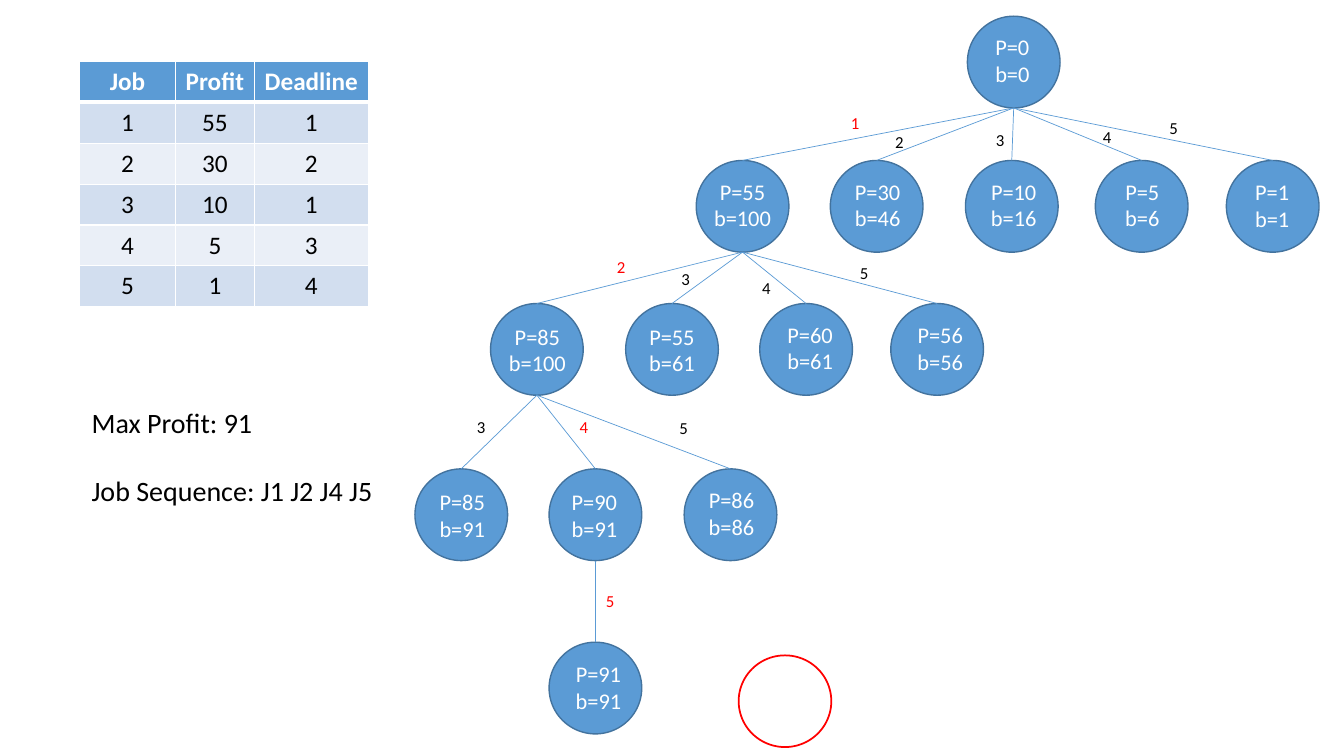
from dataclasses import dataclass

from pptx import Presentation
from pptx.dml.color import RGBColor as Color
from pptx.enum.shapes import MSO_CONNECTOR as Connector, MSO_SHAPE as Shape
from pptx.enum.text import MSO_ANCHOR as Anchor, MSO_AUTO_SIZE as AutoSize, PP_ALIGN as Align
from pptx.oxml import parse_xml
from pptx.oxml.ns import nsdecls
from pptx.util import Pt


@dataclass(frozen=True)
class Theme:
    font: str = "Calibri"
    blue: str = "5B9BD5"
    outline: str = "43739E"
    dark_band: str = "D2DEEF"
    light_band: str = "EAEFF7"
    red: str = "FF0000"
    black: str = "000000"
    white: str = "FFFFFF"
    result_size: int = 20
    table_size: int = 18
    node_size: int = 16
    edge_size: int = 12


@dataclass(frozen=True)
class Box:
    left: float
    top: float
    width: float
    height: float

    def inner(self, left, top, width, height):
        return Box(self.left + left, self.top + top, width, height)

    def lengths(self):
        return [Pt(value) for value in (self.left, self.top, self.width, self.height)]


@dataclass(frozen=True)
class Node:
    level: int
    left: float
    text: str
    shift: tuple
    parent: int = -1
    job: str = ""
    job_at: tuple = ()
    chosen: bool = False


THEME = Theme()
NODE_WIDTH, NODE_HEIGHT = 66.2, 65.5
LEVEL_TOPS = (0, 103, 205.2, 323.3, 447.1)
NODES = (
    Node(0, 394.6, "P=0\vb=0", (-1, -1)),
    Node(1, 200.9, "P=55\vb=100", (0, -1), 0, "1", (303.9, 65.5), True),
    Node(1, 296.7, "P=30\vb=46", (0.7, -1), 0, "2", (335.6, 79.2)),
    Node(1, 393.2, "P=10\vb=16", (1.4, -1), 0, "3", (407.6, 77.8)),
    Node(1, 486, "P=5\vb=6", (0.4, -1), 0, "4", (483.9, 75.6)),
    Node(1, 579.6, "P=1\vb=1", (-0.4, -0.4), 0, "5", (531.4, 69.1)),
    Node(2, 54, "P=85\vb=100", (0.4, 0.4), 1, "2", (136.8, 168.5), True),
    Node(2, 150.5, "P=55\vb=61", (0, 0.4), 1, "3", (182.9, 177.1)),
    Node(2, 246.3, "P=60\vb=61", (2.9, -1), 1, "4", (240.5, 182.9)),
    Node(2, 339.9, "P=56\vb=56", (2.2, -0.4), 1, "5", (310.4, 172.8)),
    Node(3, 0, "P=85\vb=91", (0.7, 0.4), 6, "3", (36.8, 282.3)),
    Node(3, 95.8, "P=90\vb=91", (-0.7, 0.4), 6, "4", (110.2, 282.3), True),
    Node(3, 192.3, "P=86\vb=86", (0.7, -1), 6, "5", (181.5, 283)),
    Node(4, 95.8, "P=91\vb=91", (2.2, -0.4), 11, "5", (128.9, 406.8), True),
)
JOBS = (
    ("Job", "Profit", "Deadline"),
    ("1", "55", "1"),
    ("2", "30", "2"),
    ("3", "10", "1"),
    ("4", "5", "3"),
    ("5", "1", "4"),
)
COLUMN_WIDTHS = (68.4, 56.4, 81.4)


def set_values(target, values):
    for name, value in values.items():
        setattr(target, name, value)


def style_paragraph(paragraph, size, color, alignment=Align.CENTER, bold=False):
    paragraph.alignment = alignment
    set_values(paragraph.font, {"name": THEME.font, "size": Pt(size), "bold": bold})
    paragraph.font.color.rgb = Color.from_string(color)


def add_label(slide, box, text, size, color):
    frame = slide.shapes.add_textbox(*box.lengths()).text_frame
    set_values(frame, {"word_wrap": False, "auto_size": AutoSize.SHAPE_TO_FIT_TEXT})
    paragraph = frame.paragraphs[0]
    paragraph.text = text
    style_paragraph(paragraph, size, color)


def add_circle(slide, box, line_color, line_width, fill=None):
    circle = slide.shapes.add_shape(Shape.OVAL, *box.lengths())
    circle.shadow.inherit = False
    if fill:
        circle.fill.solid()
        circle.fill.fore_color.rgb = Color.from_string(fill)
    else:
        circle.fill.background()
    circle.line.color.rgb = Color.from_string(line_color)
    circle.line.width = Pt(line_width)


def add_edge(slide, parent, child):
    points = (
        parent.left + NODE_WIDTH / 2, parent.top + NODE_HEIGHT,
        child.left + NODE_WIDTH / 2, child.top,
    )
    edge = slide.shapes.add_connector(Connector.STRAIGHT, *[Pt(value) for value in points])
    edge.line.color.rgb = Color.from_string(THEME.blue)
    edge.line.width = Pt(0.5)
    edge._element.spPr.append(parse_xml(f"<a:effectLst {nsdecls('a')}/>"))


def add_borders(cell, bottom_width):
    properties = cell._tc.get_or_add_tcPr()
    for side, width in (("L", 1), ("R", 1), ("T", 1), ("B", bottom_width)):
        properties.append(parse_xml(
            f'<a:ln{side} {nsdecls("a")} w="{Pt(width)}"><a:solidFill>'
            f'<a:srgbClr val="{THEME.white}"/></a:solidFill></a:ln{side}>'
        ))


def add_job_table(slide, box):
    table = slide.shapes.add_table(len(JOBS), len(COLUMN_WIDTHS), *box.lengths()).table
    cell_format = {
        "vertical_anchor": Anchor.TOP, "margin_left": Pt(4), "margin_right": Pt(4),
    }
    for column, width in zip(table.columns, COLUMN_WIDTHS):
        column.width = Pt(width)
    for row_index, job in enumerate(JOBS):
        header = row_index == 0
        band = THEME.dark_band if row_index % 2 else THEME.light_band
        table.rows[row_index].height = Pt(box.height / len(JOBS))
        for column_index, text in enumerate(job):
            cell = table.cell(row_index, column_index)
            cell.text = text
            set_values(cell, cell_format)
            color = THEME.white if header else THEME.black
            style_paragraph(cell.text_frame.paragraphs[0], THEME.table_size, color, bold=header)
            add_borders(cell, 3 if header else 1)
            cell.fill.solid()
            cell.fill.fore_color.rgb = Color.from_string(THEME.blue if header else band)


def add_result(slide, box):
    frame = slide.shapes.add_textbox(*box.lengths()).text_frame
    frame.word_wrap = True
    frame.text = "Max Profit: 91\nJob Sequence: J1 J2 J4 J5"
    for paragraph in frame.paragraphs:
        style_paragraph(paragraph, THEME.result_size, THEME.black, Align.LEFT)
        paragraph.space_after = Pt(24.4)


def add_search_tree(slide, box):
    circles = [
        box.inner(node.left, LEVEL_TOPS[node.level], NODE_WIDTH, NODE_HEIGHT) for node in NODES
    ]
    for circle in circles:
        add_circle(slide, circle, THEME.outline, 1, THEME.blue)
    for node, circle in zip(NODES, circles):
        width = 15.9 + 7.9 * max(len(line) for line in node.text.split("\v"))
        height = 46
        shift_x, shift_y = node.shift
        label = circle.inner(
            (NODE_WIDTH - width) / 2 + shift_x, (NODE_HEIGHT - height) / 2 + shift_y, width, height
        )
        add_label(slide, label, node.text, THEME.node_size, THEME.white)
        if node.job:
            add_edge(slide, circles[node.parent], circle)
            color = THEME.red if node.chosen else THEME.black
            add_label(slide, box.inner(*node.job_at, 20.9, 21.8), node.job, THEME.edge_size, color)
    add_circle(slide, box.inner(231.2, 456.5, NODE_WIDTH, NODE_HEIGHT), THEME.red, 1.25)


def main():
    presentation = Presentation()
    set_values(presentation, {"slide_width": Pt(960), "slide_height": Pt(540)})
    slide = presentation.slides.add_slide(presentation.slide_layouts.get_by_name("Blank"))
    add_job_table(slide, Box(56.9, 43.9, sum(COLUMN_WIDTHS), 175.2))
    add_result(slide, Box(58.3, 286, 229, 128.2))
    add_search_tree(slide, Box(296.4, 11.6, 645.8, 522))
    presentation.save("out.pptx")


if __name__ == "__main__":
    main()
